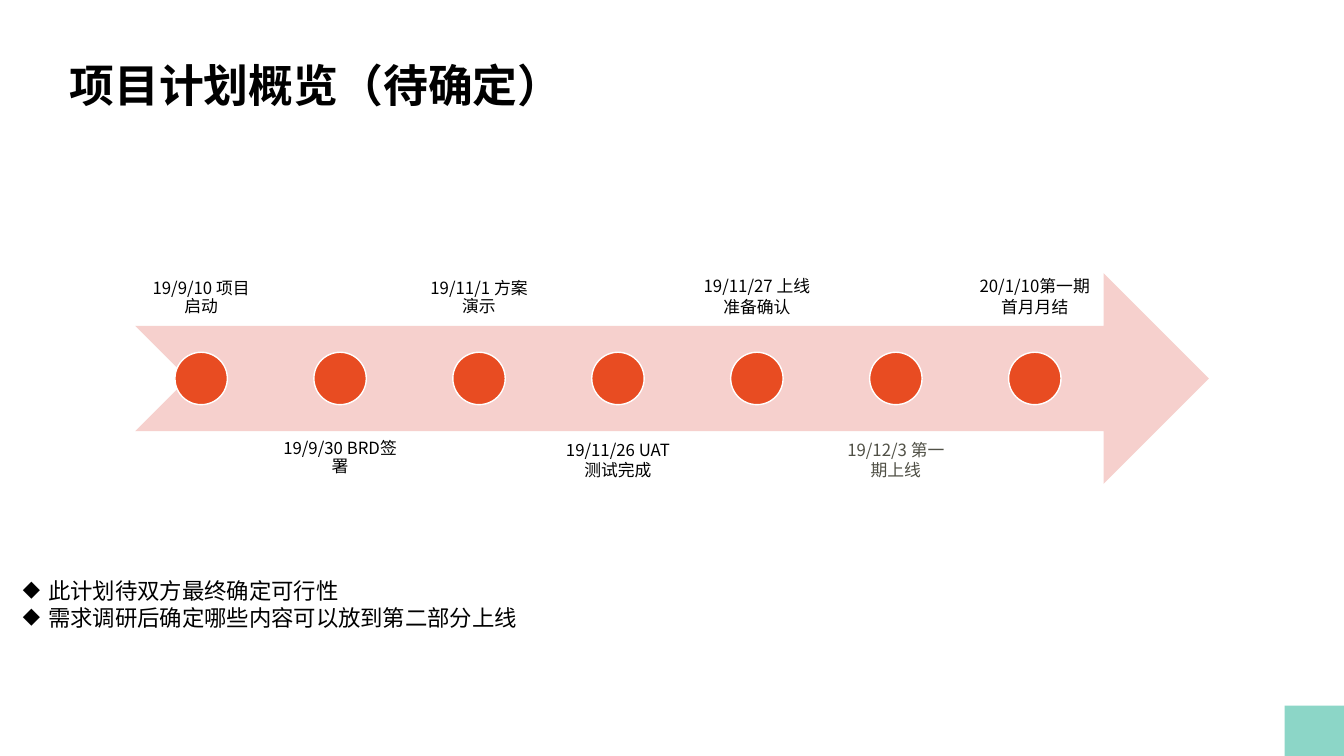
from dataclasses import dataclass

from lxml.etree import SubElement
from pptx import Presentation
from pptx.dml.color import RGBColor
from pptx.enum.shapes import MSO_SHAPE as Shape
from pptx.enum.text import MSO_ANCHOR as Anchor, PP_ALIGN as Align
from pptx.oxml.ns import qn
from pptx.util import Inches, Pt

FONT = "Noto Sans CJK SC"
BLACK = RGBColor(0x00, 0x00, 0x00)
GREY = RGBColor(0x50, 0x50, 0x46)
WHITE = RGBColor(0xFF, 0xFF, 0xFF)
ORANGE = RGBColor(0xE8, 0x4C, 0x22)
PINK = RGBColor(0xF6, 0xD0, 0xCD)
TEAL = RGBColor(0x8C, 0xD6, 0xC7)

ARROW_LEFT, ARROW_TOP, ARROW_WIDTH, ARROW_HEIGHT = 1.34, 2.71, 10.65, 2.09
LABEL_WIDTH = 1.31
LABEL_TOPS = (1.14, 4.27)
STEP = 1.378
DOT = 0.52


@dataclass
class Milestone:
    text: str
    spacing: float = 1.0
    color: RGBColor = BLACK


MILESTONES = [
    Milestone("19/9/10 项目启动", 0.9),
    Milestone("19/9/30 BRD签署", 0.9),
    Milestone("19/11/1 方案演示", 0.9),
    Milestone("19/11/26 UAT测试完成"),
    Milestone("19/11/27 上线准备确认"),
    Milestone("19/12/3 第一期上线", color=GREY),
    Milestone("20/1/10第一期首月月结"),
]
NOTES = ["此计划待双方最终确定可行性", "需求调研后确定哪些内容可以放到第二部分上线"]


def add_shape(s, kind, left: float, top: float, width: float, height: float,
              fill: RGBColor, line: RGBColor | None = None):
    sp = s.shapes.add_shape(kind, Inches(left), Inches(top), Inches(width), Inches(height))
    sp.shadow.inherit = False
    sp.fill.solid()
    sp.fill.fore_color.rgb = fill
    if line is None:
        sp.line.fill.background()
    else:
        sp.line.color.rgb = line
        sp.line.width = Pt(1)
    return sp


def add_bullet(p, char: str, indent: float) -> None:
    pPr = p._p.get_or_add_pPr()
    pPr.set("marL", str(Inches(indent)))
    pPr.set("indent", str(-Inches(indent)))
    SubElement(pPr, qn("a:buChar")).set("char", char)


def add_text(s, text: str, left: float, top: float, width: float, height: float, *,
             size: int, color: RGBColor = BLACK, bold: bool = False, align=Align.LEFT,
             anchor=Anchor.TOP, spacing: float = 1.0, inset: float | None = None,
             bullet: str | None = None):
    sp = s.shapes.add_textbox(Inches(left), Inches(top), Inches(width), Inches(height))
    tf = sp.text_frame
    tf.word_wrap = True
    tf.vertical_anchor = anchor
    if inset is not None:
        tf.margin_left = tf.margin_right = tf.margin_top = tf.margin_bottom = Inches(inset)
    tf.text = text
    for p in tf.paragraphs:
        p.alignment = align
        p.line_spacing = spacing
        if bullet:
            add_bullet(p, bullet, 0.25)
        for r in p.runs:
            r.font.name = FONT
            r.font.size = Pt(size)
            r.font.bold = bold
            r.font.color.rgb = color
            SubElement(r._r.get_or_add_rPr(), qn("a:ea")).set("typeface", FONT)
    return sp


def add_milestone(s, index: int, milestone: Milestone) -> None:
    below = index % 2
    left = ARROW_LEFT + index * STEP
    add_text(s, milestone.text, left, LABEL_TOPS[below], LABEL_WIDTH, ARROW_HEIGHT,
             size=12, color=milestone.color, align=Align.CENTER, inset=0.09,
             anchor=Anchor.TOP if below else Anchor.BOTTOM, spacing=milestone.spacing)
    add_shape(s, Shape.OVAL, left + (LABEL_WIDTH - DOT) / 2,
              ARROW_TOP + (ARROW_HEIGHT - DOT) / 2, DOT, DOT, ORANGE, WHITE)


prs = Presentation()
prs.slide_width, prs.slide_height = Inches(13.33), Inches(7.5)
s = prs.slides.add_slide(prs.slide_layouts[6])

add_shape(s, Shape.RECTANGLE, 12.74, 7, 0.59, 0.5, TEAL)
add_text(s, "项目计划概览（待确定）", 0.59, 0.58, 12.19, 0.78, size=32, bold=True, spacing=0.9)
add_shape(s, Shape.NOTCHED_RIGHT_ARROW, ARROW_LEFT, ARROW_TOP, ARROW_WIDTH, ARROW_HEIGHT, PINK)
for i, milestone in enumerate(MILESTONES):
    add_milestone(s, i, milestone)
add_text(s, "\n".join(NOTES), 0.13, 5.68, 5.54, 0.91, size=16, bullet="◆")

prs.save("out.pptx")
